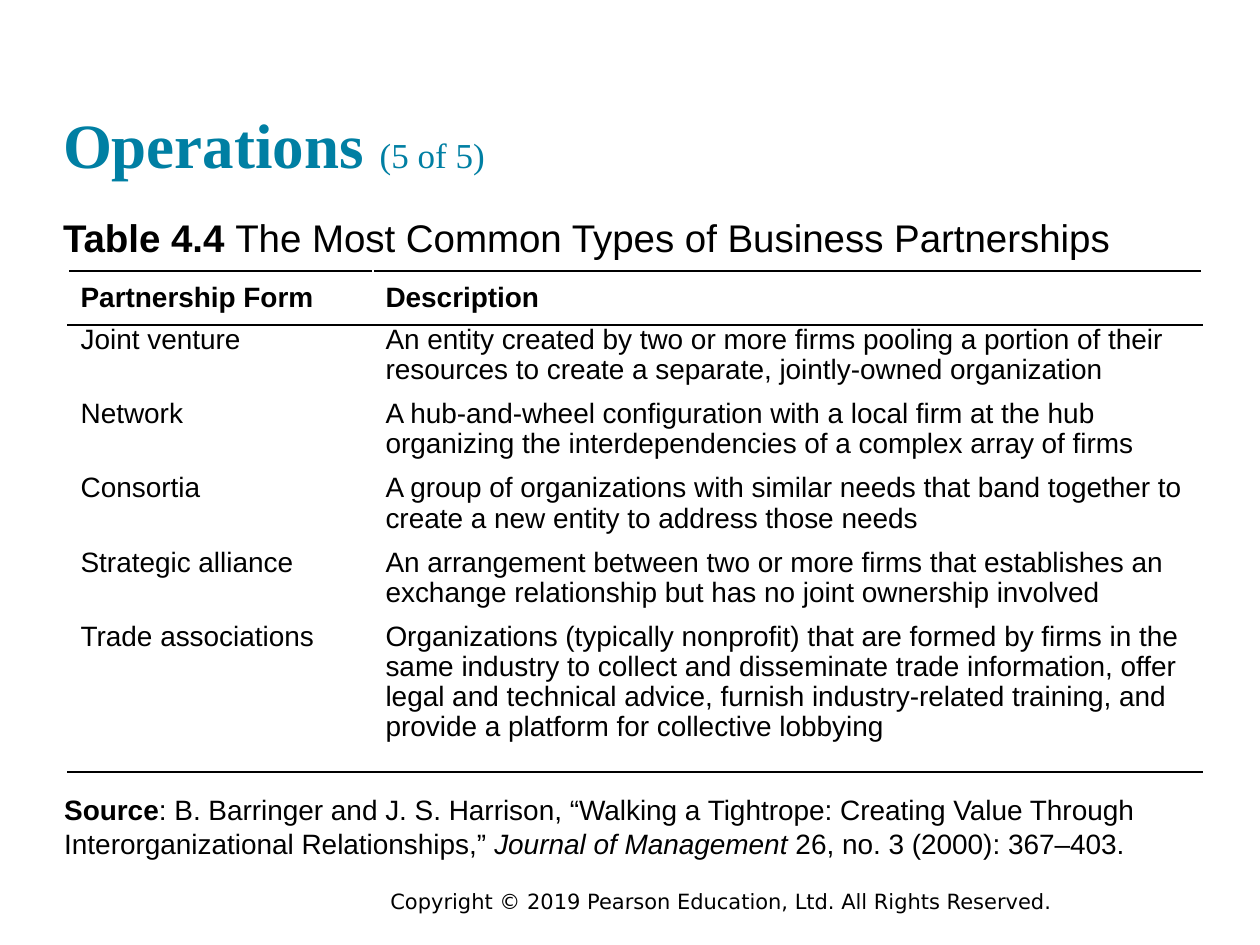
from dataclasses import dataclass

from lxml import etree
from pptx import Presentation
from pptx.dml.color import RGBColor
from pptx.enum.text import MSO_ANCHOR, MSO_AUTO_SIZE, PP_ALIGN
from pptx.oxml.ns import qn
from pptx.util import Inches, Pt

TOP, MIDDLE, BOTTOM = MSO_ANCHOR.TOP, MSO_ANCHOR.MIDDLE, MSO_ANCHOR.BOTTOM
NO_AUTOFIT = MSO_AUTO_SIZE.NONE
LEFT = PP_ALIGN.LEFT
TWO_CONTENT_LAYOUT = 3


@dataclass(frozen=True)
class Theme:
    ink: str = "000000"
    accent: str = "007FA3"
    paper: str = "FFFFFF"
    heading_font: str = "Times New Roman"
    body_font: str = "Arial"
    footer_font: str = "DejaVu Sans"
    title_size: int = 36
    counter_size: int = 20
    caption_size: int = 22
    body_size: int = 16
    footer_size: int = 12
    rule_width: int = 1


@dataclass(frozen=True)
class Box:
    left: float
    top: float
    width: float
    height: float

    def lengths(self):
        return [Inches(value) for value in (self.left, self.top, self.width, self.height)]


@dataclass(frozen=True)
class Partnership:
    form: str
    description: tuple[str, ...]
    height: float = 0.59


THEME = Theme()
TABLE_BOX = Box(0.54, 2.15, 9, 3.98)
COLUMN_WIDTHS = (2.42, 6.58)
HEADER_HEIGHT = 0.43
PARTNERSHIPS = (
    Partnership("Joint venture", (
        "An entity created by two or more firms pooling a portion of their "
        "resources to create a separate, jointly-owned organization",)),
    Partnership("Network", (
        "A hub-and-wheel configuration with a local firm at the hub",
        "organizing the interdependencies of a complex array of firms")),
    Partnership("Consortia", (
        "A group of organizations with similar needs that band together to "
        "create a new entity to address those needs",)),
    Partnership("Strategic alliance", (
        "An arrangement between two or more firms that establishes an "
        "exchange relationship but has no joint ownership involved",)),
    Partnership("Trade associations", (
        "Organizations (typically nonprofit) that are formed by firms in the "
        "same industry to collect and disseminate trade information, offer "
        "legal and technical advice, furnish industry-related training, and "
        "provide a platform for collective lobbying",), 1.19),
)


def add_text(paragraph, text: str, *, size: int = THEME.body_size, font: str = THEME.body_font,
             color: str = THEME.ink, bold: bool = False, italic: bool = False) -> None:
    run = paragraph.add_run()
    run.text = text
    run.font.size = Pt(size)
    run.font.name = font
    run.font.color.rgb = RGBColor.from_string(color)
    run.font.bold = bold
    run.font.italic = italic


def prepare_placeholder(placeholder, box: Box, anchor=TOP):
    """Place the placeholder, clear its margins and bullet, and return its paragraph."""
    placeholder.left, placeholder.top, placeholder.width, placeholder.height = box.lengths()
    frame = placeholder.text_frame
    frame.margin_left = frame.margin_top = frame.margin_right = frame.margin_bottom = 0
    frame.auto_size = NO_AUTOFIT
    frame.word_wrap = True
    frame.vertical_anchor = anchor
    paragraph = frame.paragraphs[0]
    paragraph.alignment = LEFT
    paragraph.space_before = Pt(0)
    properties = paragraph._p.get_or_add_pPr()
    properties.set("marL", "0")
    properties.set("indent", "0")
    etree.SubElement(properties, qn("a:buNone"))
    return paragraph


def add_border(cell, edge: str) -> None:
    line = etree.SubElement(cell._tc.get_or_add_tcPr(), qn(f"a:{edge}"),
                            w=str(Pt(THEME.rule_width)))
    fill = etree.SubElement(line, qn("a:solidFill"))
    etree.SubElement(fill, qn("a:srgbClr"), val=THEME.ink)


def fill_cell(cell, lines: tuple[str, ...], edges: tuple[str, ...], header: bool) -> None:
    for edge in edges:
        add_border(cell, edge)
    cell.fill.solid()
    cell.fill.fore_color.rgb = RGBColor.from_string(THEME.paper)
    cell.margin_left = cell.margin_right = Inches(0.1)
    cell.margin_top = cell.margin_bottom = 0
    cell.vertical_anchor = MIDDLE if header else TOP
    frame = cell.text_frame
    for index, line in enumerate(lines):
        paragraph = frame.add_paragraph() if index else frame.paragraphs[0]
        paragraph.line_spacing = 0.97
        add_text(paragraph, line, bold=header)


def add_partnership_table(slide) -> None:
    rows = (Partnership("Partnership Form", ("Description",), HEADER_HEIGHT), *PARTNERSHIPS)
    edges = {0: ("lnT", "lnB"), 1: ("lnT",), len(rows) - 1: ("lnB",)}
    table = slide.shapes.add_table(len(rows), len(COLUMN_WIDTHS), *TABLE_BOX.lengths()).table
    table.first_row = table.horz_banding = False
    for column, width in zip(table.columns, COLUMN_WIDTHS):
        column.width = Inches(width)
    for index, row in enumerate(rows):
        table.rows[index].height = Inches(row.height)
        for column, lines in enumerate(((row.form,), row.description)):
            fill_cell(table.cell(index, column), lines, edges.get(index, ()), index == 0)


def add_copyright(slide) -> None:
    frame = slide.shapes.add_textbox(*Box(3, 7, 6.67, 0.3).lengths()).text_frame
    frame.word_wrap = True
    add_text(frame.paragraphs[0], "Copyright © 2019 Pearson Education, Ltd. All Rights Reserved.",
             size=THEME.footer_size, font=THEME.footer_font)


def main() -> None:
    presentation = Presentation()
    presentation.slide_width, presentation.slide_height = Inches(10), Inches(7.5)
    slide = presentation.slides.add_slide(presentation.slide_layouts[TWO_CONTENT_LAYOUT])
    title, caption, source = slide.placeholders

    paragraph = prepare_placeholder(title, Box(0.5, 0.24, 9, 1.2), BOTTOM)
    heading = {"font": THEME.heading_font, "color": THEME.accent}
    add_text(paragraph, "Operations ", size=THEME.title_size, bold=True, **heading)
    add_text(paragraph, "(5 of 5)", size=THEME.counter_size, **heading)

    paragraph = prepare_placeholder(caption, Box(0.5, 1.7, 9, 0.37))
    add_text(paragraph, "Table 4.4 ", size=THEME.caption_size, bold=True)
    add_text(paragraph, "The Most Common Types of Business Partnerships",
             size=THEME.caption_size)

    add_partnership_table(slide)

    paragraph = prepare_placeholder(source, Box(0.51, 6.29, 9, 0.57))
    add_text(paragraph, "Source", bold=True)
    add_text(paragraph, ": B. Barringer and J. S. Harrison, “Walking a Tightrope: Creating Value "
                        "Through Interorganizational Relationships,” ")
    add_text(paragraph, "Journal of Management ", italic=True)
    add_text(paragraph, "26, no. 3 (2000): 367–403.")

    add_copyright(slide)
    presentation.save("out.pptx")


if __name__ == "__main__":
    main()
